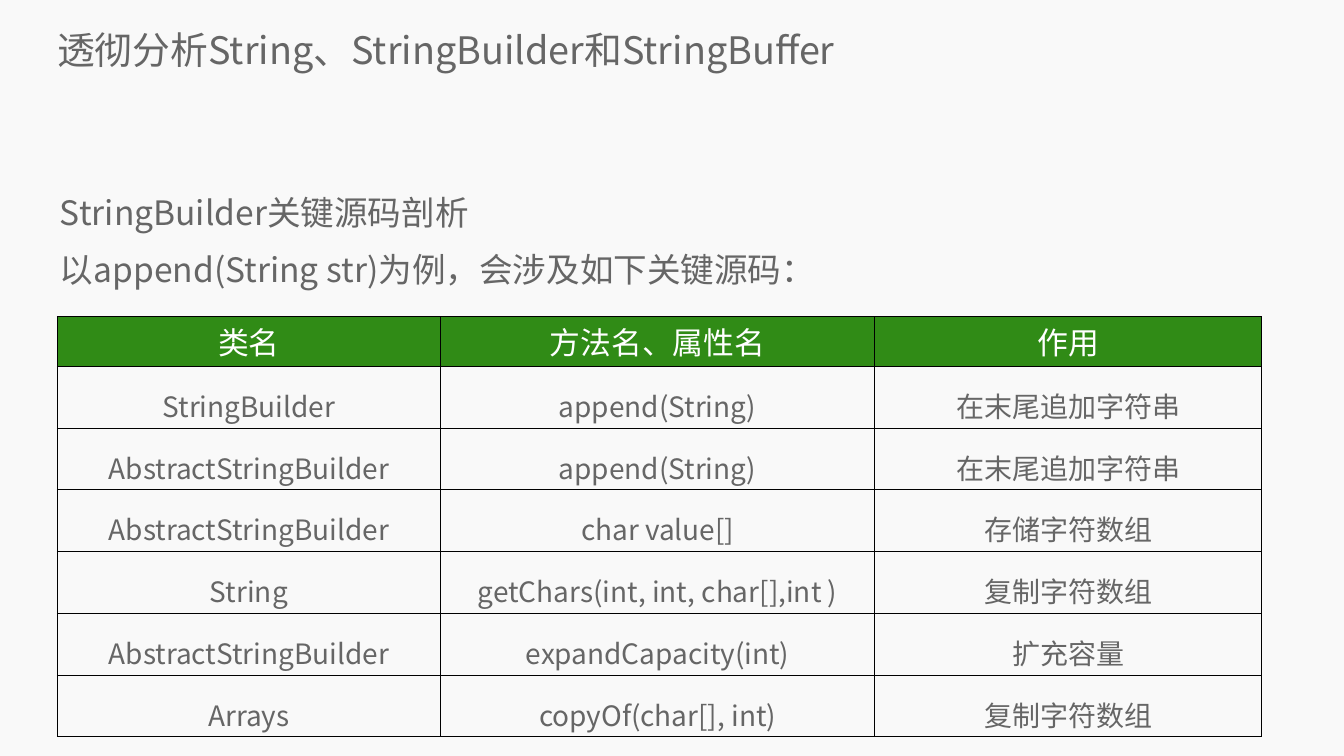
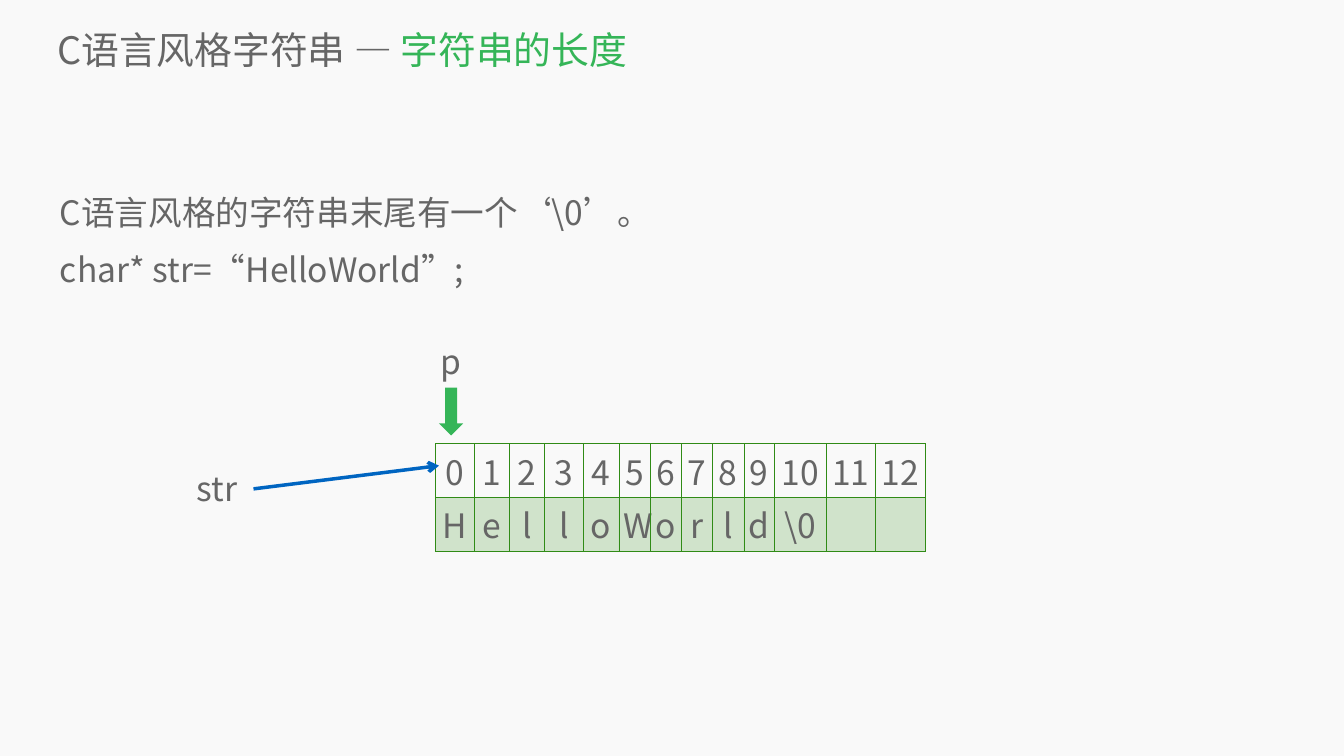
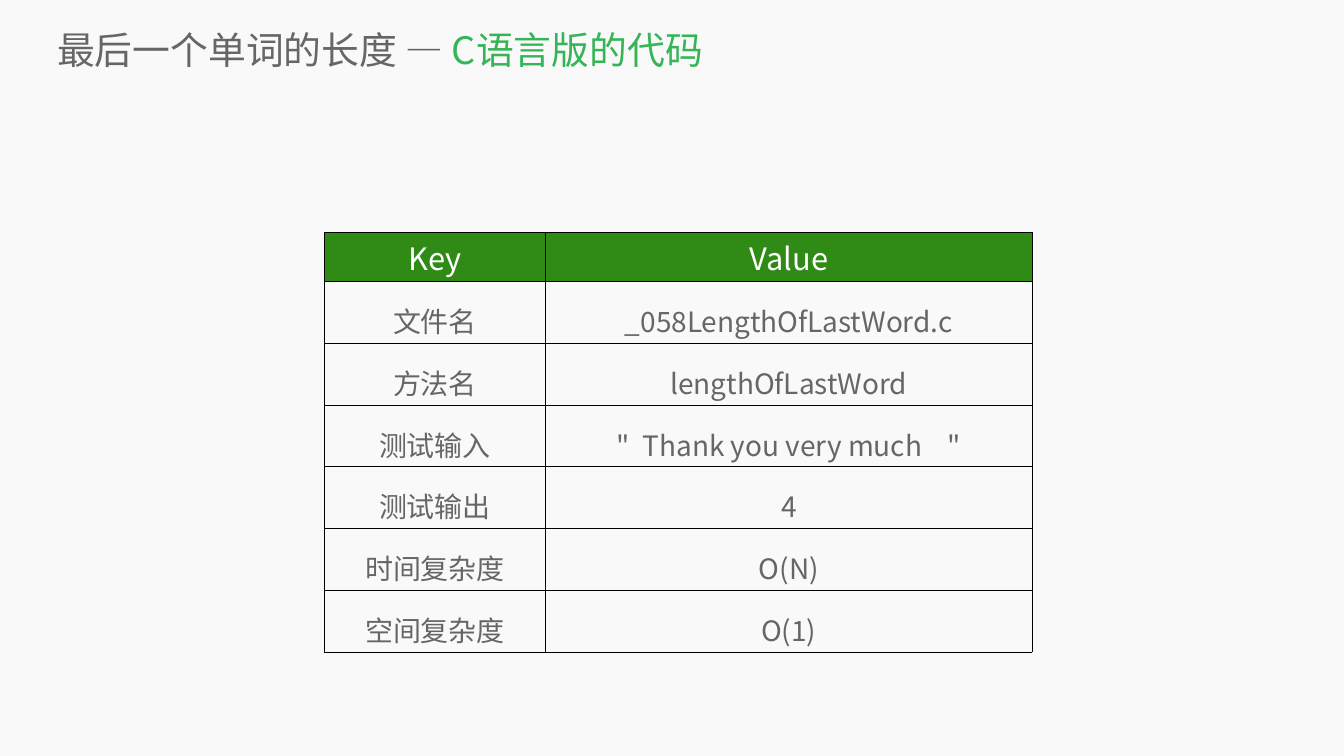
from lxml import etree
from pptx import Presentation
from pptx.dml.color import RGBColor
from pptx.enum.shapes import MSO_CONNECTOR, MSO_SHAPE
from pptx.enum.text import MSO_ANCHOR, MSO_AUTO_SIZE, PP_ALIGN
from pptx.oxml.ns import qn
from pptx.util import Inches, Pt

LEFT, CENTER = PP_ALIGN.LEFT, PP_ALIGN.CENTER
MIDDLE = MSO_ANCHOR.MIDDLE
FIXED, GROW = MSO_AUTO_SIZE.NONE, MSO_AUTO_SIZE.SHAPE_TO_FIT_TEXT
STRAIGHT, DOWN = MSO_CONNECTOR.STRAIGHT, MSO_SHAPE.DOWN_ARROW

FONT = "Noto Sans CJK SC"
PAPER, INK, WHITE, BLACK = "F9F9F9", "666666", "FFFFFF", "000000"
GREEN, LEAF, BLUE = "308B16", "35B558", "0065C1"
WIDTH, HEIGHT = Inches(26.67), Inches(15)
COLS, ROWS = 80, 45


def rgb(code):
    return RGBColor.from_string(code)


def put(frame, text, accent="", size=48, color=INK, align=LEFT, space=None):
    for i, line in enumerate(text.split("\n")):
        para = frame.add_paragraph() if i else frame.paragraphs[0]
        para.alignment = align
        if space:
            para.line_spacing = space
        for part, tint in ((line, color), (accent, LEAF)):
            if part:
                run = para.add_run()
                run.text = part
                font = run.font
                font.name, font.size, font.bold = FONT, Pt(size), False
                font.color.rgb = rgb(tint)
                face = etree.SubElement(run._r.get_or_add_rPr(), qn("a:ea"))
                face.set("typeface", FONT)


def edge(cell, color):
    props = cell._tc.get_or_add_tcPr()
    for i, side in enumerate(("lnL", "lnR", "lnT", "lnB")):
        line = etree.Element(qn("a:" + side), w=str(Pt(1)))
        fill = etree.SubElement(line, qn("a:solidFill"))
        etree.SubElement(fill, qn("a:srgbClr"), val=color)
        props.insert(i, line)


def shade(cell, color, alpha=100):
    if not color:
        cell.fill.background()
        return
    cell.fill.solid()
    cell.fill.fore_color.rgb = rgb(color)
    if alpha < 100:
        tone = cell._tc.tcPr.find(".//" + qn("a:srgbClr"))
        etree.SubElement(tone, qn("a:alpha"), val=str(alpha * 1000))


class Deck:
    def __init__(self):
        self.show = Presentation()
        self.show.slide_width, self.show.slide_height = WIDTH, HEIGHT
        fill = self.show.slide_master.background.fill
        fill.solid()
        fill.fore_color.rgb = rgb(PAPER)

    def x(self, cols):
        return round(WIDTH * cols / COLS)

    def y(self, rows):
        return round(HEIGHT * rows / ROWS)

    def box(self, x, y, w, h):
        return self.x(x), self.y(y), self.x(w), self.y(h)

    def bare(self, frame):
        frame.word_wrap, frame.auto_size = True, FIXED
        frame.margin_left = frame.margin_right = 0
        frame.margin_top = frame.margin_bottom = 0

    def start(self, text, accent=""):
        self.page = self.show.slides.add_slide(self.show.slide_layouts[5])
        title = self.page.shapes.title
        title.left, title.top, title.width, title.height = self.box(3.4, 1.4, 75.5, 3.06)
        self.bare(title.text_frame)
        title.text_frame.vertical_anchor = MIDDLE
        put(title.text_frame, text, accent, size=54)

    def body(self, text):
        frame = self.page.shapes.add_textbox(*self.box(3.57, 10.47, 72.84, 33.72)).text_frame
        self.bare(frame)
        put(frame, text, space=1.4)

    def label(self, text, *place):
        shape = self.page.shapes.add_textbox(*self.box(*place))
        shape.text_frame.word_wrap = True
        shape.text_frame.auto_size = GROW
        put(shape.text_frame, text)
        return shape

    def arrow(self, *place):
        shape = self.page.shapes.add_shape(DOWN, *self.box(*place))
        shape.shadow.inherit = False
        shape.fill.solid()
        shape.fill.fore_color.rgb = rgb(LEAF)
        shape.line.fill.background()
        return shape

    def line(self, *ends):
        link = self.page.shapes.add_connector(STRAIGHT, *self.box(*ends))
        link.line.color.rgb = rgb(BLUE)
        link.line.width = Pt(5)
        props = link._element.spPr
        etree.SubElement(props.find(qn("a:ln")), qn("a:tailEnd"), type="arrow")
        etree.SubElement(props, qn("a:effectLst"))

    def group(self, *parts):
        self.page.shapes.add_group_shape(parts)

    def grid(self, data, x, y, widths, high, rows, style):
        place = self.box(x, y, sum(widths), high)
        frame = self.page.shapes.add_table(len(data), len(widths), *place)
        table = frame.table
        table.first_row = table.horz_banding = False
        for col, wide in zip(table.columns, widths):
            col.width = self.x(wide)
        for r, line in enumerate(data):
            table.rows[r].height = self.y(rows[r > 0])
            look, fill, edges = style[r > 0]
            for c, text in enumerate(line):
                cell = table.cell(r, c)
                shade(cell, *fill)
                edge(cell, edges)
                put(cell.text_frame, text, align=CENTER, **look)
        frame.height = self.y(high)

    def facts(self, data, x, y, widths, high):
        head = dict(size=44, color=WHITE), (GREEN,), BLACK
        rest = dict(size=40, space=1.4), (None,), BLACK
        self.grid(data, x, y, widths, high, (2.55, 2.5), (head, rest))

    def memory(self, data, x, y, widths, high):
        head = {}, (None,), GREEN
        rest = {}, (GREEN, 20), GREEN
        self.grid(data, x, y, widths, high, (0.88, 0.88), (head, rest))


deck = Deck()

deck.start("透彻分析String、StringBuilder和StringBuffer")
deck.body("StringBuilder关键源码剖析\n以append(String str)为例，会涉及如下关键源码：")
deck.facts([
    ("类名", "方法名、属性名", "作用"),
    ("StringBuilder", "append(String)", "在末尾追加字符串"),
    ("AbstractStringBuilder", "append(String)", "在末尾追加字符串"),
    ("AbstractStringBuilder", "char value[]", "存储字符数组"),
    ("String", "getChars(int, int, char[],int )", "复制字符数组"),
    ("AbstractStringBuilder", "expandCapacity(int)", "扩充容量"),
    ("Arrays", "copyOf(char[], int)", "复制字符数组"),
], 3.4, 18.84, (22.83, 25.83, 23.04), 23.97)

deck.start("C语言风格字符串 — ", "字符串的长度")
deck.body("C语言风格的字符串末尾有一个‘\\0’。\nchar* str=“HelloWorld”;")
slots = [str(i) for i in range(13)]
chars = [*"HelloWorld", "\\0", "", ""]
deck.memory([slots, chars], 25.92, 26.4,
            (2.34, 2.04, 2.13, 2.28, 2.13, 1.89, 1.83, 1.83, 1.89, 1.83, 3.09, 2.91, 3), 5.4)
deck.label("str", 11.43, 27.72, 3.66, 2.73)
deck.line(15.09, 29.1, 26.13, 27.72)
deck.group(deck.arrow(26.13, 23.07, 1.44, 2.85),
           deck.label("p", 25.92, 20.16, 2.4, 2.73))

deck.start("最后一个单词的长度 — ", "C语言版的代码")
deck.facts([
    ("Key", "Value"),
    ("文件名", "_058LengthOfLastWord.c"),
    ("方法名", "lengthOfLastWord"),
    ("测试输入", '"  Thank you very much    "'),
    ("测试输出", "4"),
    ("时间复杂度", "O(N)"),
    ("空间复杂度", "O(1)"),
], 19.32, 13.8, (13.14, 28.98), 21.15)

deck.show.save("out.pptx")
